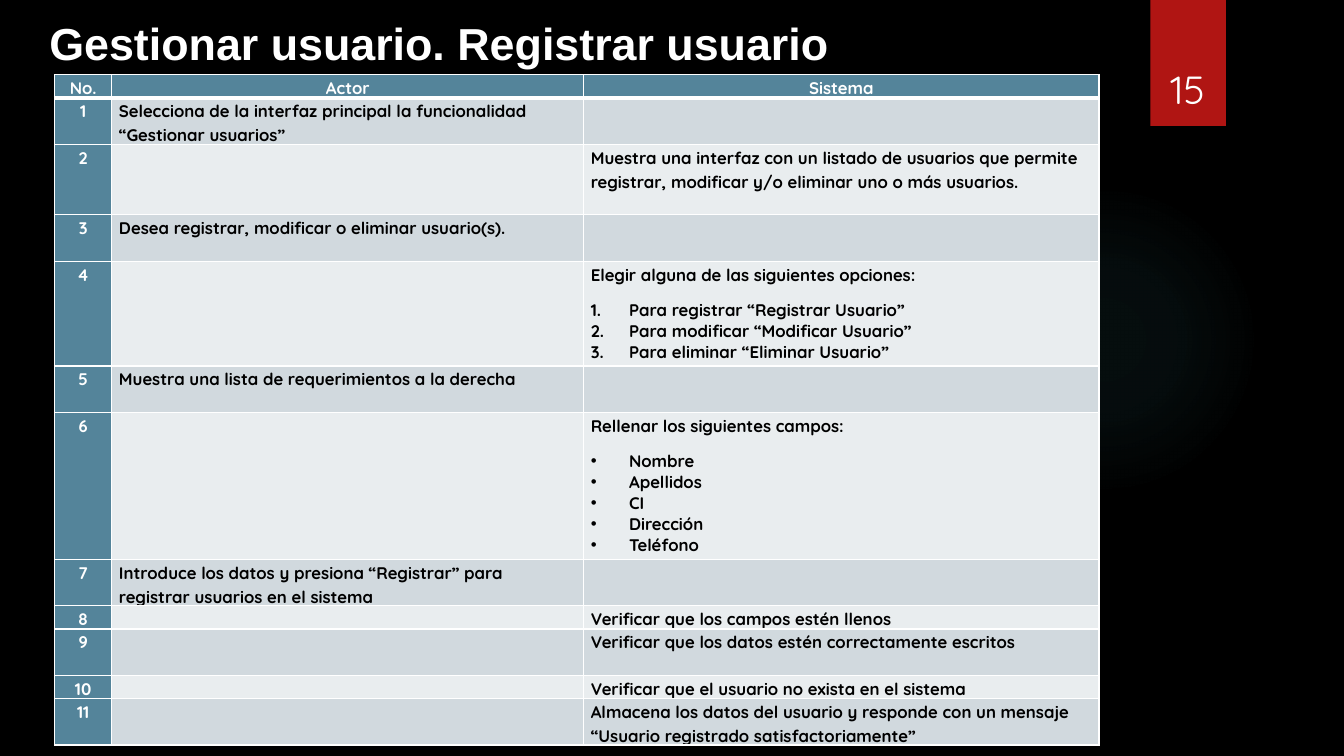
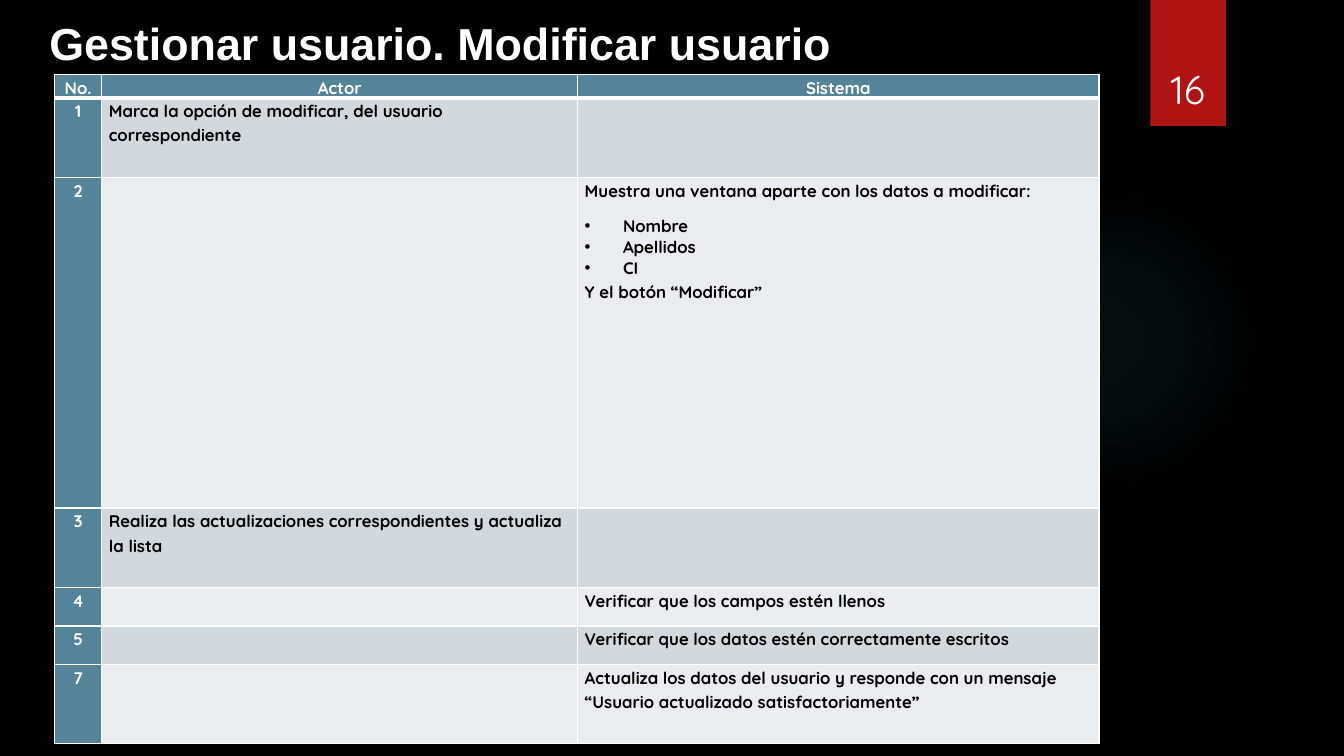
from dataclasses import dataclass
from enum import Enum

from lxml.etree import SubElement
from pptx import Presentation
from pptx.dml.color import RGBColor
from pptx.enum.shapes import MSO_SHAPE
from pptx.enum.text import MSO_ANCHOR, PP_ALIGN
from pptx.oxml.ns import qn
from pptx.util import Inches, Pt

BLACK = RGBColor(0x00, 0x00, 0x00)
WHITE = RGBColor(0xFF, 0xFF, 0xFF)
RED = RGBColor(0xB0, 0x15, 0x13)
GLOW = RGBColor(0x50, 0xB9, 0xC1)
BLUE = RGBColor(0x54, 0x84, 0x9A)
BANDS = (RGBColor(0xD1, 0xD9, 0xDE), RGBColor(0xE9, 0xED, 0xEF))

TITLE_FONT = "Arial"
BODY_FONT = "Quicksand"
BODY_SIZE = Pt(12)
HEADINGS = ("No.", "Actor", "Sistema")
HEADING_HEIGHT = 0.22
GLOW_STOPS = ((0, 7), (36, 6), (69, 0))


class Mark(Enum):
    NONE = "none"
    BULLET = "bullet"
    NUMBER = "number"


@dataclass(frozen=True)
class Line:
    text: str
    mark: Mark = Mark.NONE


@dataclass(frozen=True)
class Step:
    number: int
    height: float
    actor: tuple[Line, ...] = ()
    system: tuple[Line, ...] = ()


@dataclass(frozen=True)
class UseCase:
    page: int
    title: str
    widths: tuple[float, float, float]
    steps: tuple[Step, ...]


def actor(number: int, height: float, text: str) -> Step:
    return Step(number, height, actor=(Line(text),))


def system(number: int, height: float, text: str, *more: Line) -> Step:
    return Step(number, height, system=(Line(text), *more))


def marked(mark: Mark, *texts: str) -> tuple[Line, ...]:
    return tuple(Line(text, mark) for text in texts)


USE_CASES = (
    UseCase(15, "Gestionar usuario. Registrar usuario", (0.57, 4.68, 5.11), (
        actor(1, 0.46, "Selecciona de la interfaz principal la funcionalidad “Gestionar usuarios”"),
        system(2, 0.7, "Muestra una interfaz con un listado de usuarios que permite "
                       "registrar, modificar y/o eliminar uno o más usuarios."),
        actor(3, 0.46, "Desea registrar, modificar o eliminar usuario(s)."),
        system(4, 1.04, "Elegir alguna de las siguientes opciones:",
               *marked(Mark.NUMBER, "Para registrar “Registrar Usuario”",
                       "Para modificar “Modificar Usuario”",
                       "Para eliminar “Eliminar Usuario”")),
        actor(5, 0.46, "Muestra una lista de requerimientos a la derecha"),
        system(6, 1.46, "Rellenar los siguientes campos:",
               *marked(Mark.BULLET, "Nombre", "Apellidos", "CI", "Dirección", "Teléfono")),
        actor(7, 0.46, "Introduce los datos y presiona “Registrar” para registrar usuarios en el sistema"),
        system(8, 0.22, "Verificar que los campos estén llenos"),
        system(9, 0.46, "Verificar que los datos estén correctamente escritos"),
        system(10, 0.22, "Verificar que el usuario no exista en el sistema"),
        system(11, 0.46, "Almacena los datos del usuario y responde con un mensaje "
                         "“Usuario registrado satisfactoriamente”"),
    )),
    UseCase(16, "Gestionar usuario. Modificar usuario", (0.47, 4.72, 5.17), (
        actor(1, 0.79, "Marca la opción de modificar, del usuario correspondiente"),
        system(2, 3.28, "Muestra una ventana aparte con los datos a modificar:",
               *marked(Mark.BULLET, "Nombre", "Apellidos", "CI"),
               Line("Y el botón “Modificar”")),
        actor(3, 0.79, "Realiza las actualizaciones correspondientes y actualiza la lista"),
        system(4, 0.38, "Verificar que los campos estén llenos"),
        system(5, 0.38, "Verificar que los datos estén correctamente escritos"),
        system(7, 0.79, "Actualiza los datos del usuario y responde con un mensaje "
                        "“Usuario actualizado satisfactoriamente”"),
    )),
)


def add_plain_shape(slide, kind: MSO_SHAPE, left: float, top: float, width: float, height: float):
    sp = slide.shapes.add_shape(kind, Inches(left), Inches(top), Inches(width), Inches(height))
    sp.shadow.inherit = False
    sp.line.fill.background()
    return sp


def add_glow(slide) -> None:
    sp = add_plain_shape(slide, MSO_SHAPE.OVAL, 9.41, 1.83, 3.08, 3.08)
    sp.fill.gradient()
    grad = sp.element.spPr.find(qn("a:gradFill"))
    grad.clear()
    stops = SubElement(grad, qn("a:gsLst"))
    for position, alpha in GLOW_STOPS:
        stop = SubElement(stops, qn("a:gs"), pos=str(position * 1000))
        color = SubElement(stop, qn("a:srgbClr"), val=str(GLOW))
        SubElement(color, qn("a:alpha"), val=str(alpha * 1000))
    radial = SubElement(grad, qn("a:path"), {"path": "circle"})
    SubElement(radial, qn("a:fillToRect"), l="50000", t="50000", r="50000", b="50000")


def add_label(slide, text: str, left: float, top: float, width: float, height: float,
              font: str, size: int, bold: bool, anchor: MSO_ANCHOR, align: PP_ALIGN) -> None:
    box = slide.shapes.add_textbox(Inches(left), Inches(top), Inches(width), Inches(height))
    tf = box.text_frame
    tf.word_wrap = True
    tf.vertical_anchor = anchor
    p = tf.paragraphs[0]
    p.text = text
    p.alignment = align
    style_run(p.runs[0], font, Pt(size), bold, WHITE)


def style_run(r, font: str, size: Pt, bold: bool, color: RGBColor) -> None:
    r.font.name = font
    r.font.size = size
    r.font.bold = bold
    r.font.color.rgb = color


def set_mark(p, mark: Mark) -> None:
    pPr = p._p.get_or_add_pPr()
    pPr.set("marL", str(Inches(0.38)))
    pPr.set("indent", str(-Inches(0.38)))
    if mark is Mark.NUMBER:
        SubElement(pPr, qn("a:buFont"), typeface="+mj-lt")
        SubElement(pPr, qn("a:buAutoNum"), type="arabicPeriod")
    else:
        SubElement(pPr, qn("a:buFont"), typeface="Arial")
        SubElement(pPr, qn("a:buChar"), char="•")


def set_borders(cell, top: int, bottom: int) -> None:
    tcPr = cell._tc.get_or_add_tcPr()
    for side, width in (("L", 1), ("R", 1), ("T", top), ("B", bottom)):
        ln = SubElement(tcPr, qn(f"a:ln{side}"), w=str(Pt(width)))
        SubElement(SubElement(ln, qn("a:solidFill")), qn("a:srgbClr"), val=str(WHITE))


def fill_cell(cell, lines: tuple[Line, ...], fill: RGBColor, color: RGBColor, align: PP_ALIGN) -> None:
    cell.margin_left = cell.margin_right = Inches(0.07)
    cell.margin_top = cell.margin_bottom = Inches(0)
    cell.fill.solid()
    cell.fill.fore_color.rgb = fill
    tf = cell.text_frame
    if not lines:
        end = SubElement(tf.paragraphs[0]._p, qn("a:endParaRPr"))
        end.set("sz", str(int(BODY_SIZE.pt * 100)))
        return
    tf.text = "\n".join(line.text for line in lines)
    for p, line in zip(tf.paragraphs, lines):
        p.alignment = align
        if line.mark is Mark.NONE:
            p.line_spacing = 1.15
            p.space_after = Pt(10)
        else:
            set_mark(p, line.mark)
        style_run(p.runs[0], BODY_FONT, BODY_SIZE, True, color)


def add_steps_table(slide, case: UseCase) -> None:
    heights = (HEADING_HEIGHT, *(step.height for step in case.steps))
    table = slide.shapes.add_table(
        len(heights), len(HEADINGS), Inches(0.54), Inches(0.74),
        Inches(sum(case.widths)), Inches(sum(heights))).table
    for column, width in zip(table.columns, case.widths):
        column.width = Inches(width)
    for row, height in zip(table.rows, heights):
        row.height = Inches(height)

    for col, heading in enumerate(HEADINGS):
        cell = table.cell(0, col)
        set_borders(cell, 1, 3)
        fill_cell(cell, (Line(heading),), BLUE, WHITE, PP_ALIGN.CENTER)

    for row, step in enumerate(case.steps, start=1):
        contents = ((Line(str(step.number)),), step.actor, step.system)
        for col, lines in enumerate(contents):
            cell = table.cell(row, col)
            set_borders(cell, 3 if row == 1 else 1, 1)
            if col == 0:
                fill_cell(cell, lines, BLUE, WHITE, PP_ALIGN.CENTER)
            else:
                fill_cell(cell, lines, BANDS[(row - 1) % 2], BLACK, PP_ALIGN.LEFT)


def add_use_case(prs, case: UseCase) -> None:
    slide = prs.slides.add_slide(prs.slide_layouts[6])
    add_glow(slide)
    ribbon = add_plain_shape(slide, MSO_SHAPE.RECTANGLE, 11.41, 0, 0.75, 1.25)
    ribbon.fill.solid()
    ribbon.fill.fore_color.rgb = RED
    add_label(slide, str(case.page), 11.32, 0.32, 0.92, 0.84,
              BODY_FONT, 28, False, MSO_ANCHOR.BOTTOM, PP_ALIGN.CENTER)
    add_label(slide, case.title, 0.39, 0.1, 8.68, 0.64,
              TITLE_FONT, 32, True, MSO_ANCHOR.MIDDLE, PP_ALIGN.LEFT)
    add_steps_table(slide, case)


def main() -> None:
    prs = Presentation()
    prs.slide_width = Inches(13.33)
    prs.slide_height = Inches(7.5)
    background = prs.slide_master.background.fill
    background.solid()
    background.fore_color.rgb = BLACK
    for case in USE_CASES:
        add_use_case(prs, case)
    prs.save("out.pptx")


if __name__ == "__main__":
    main()
